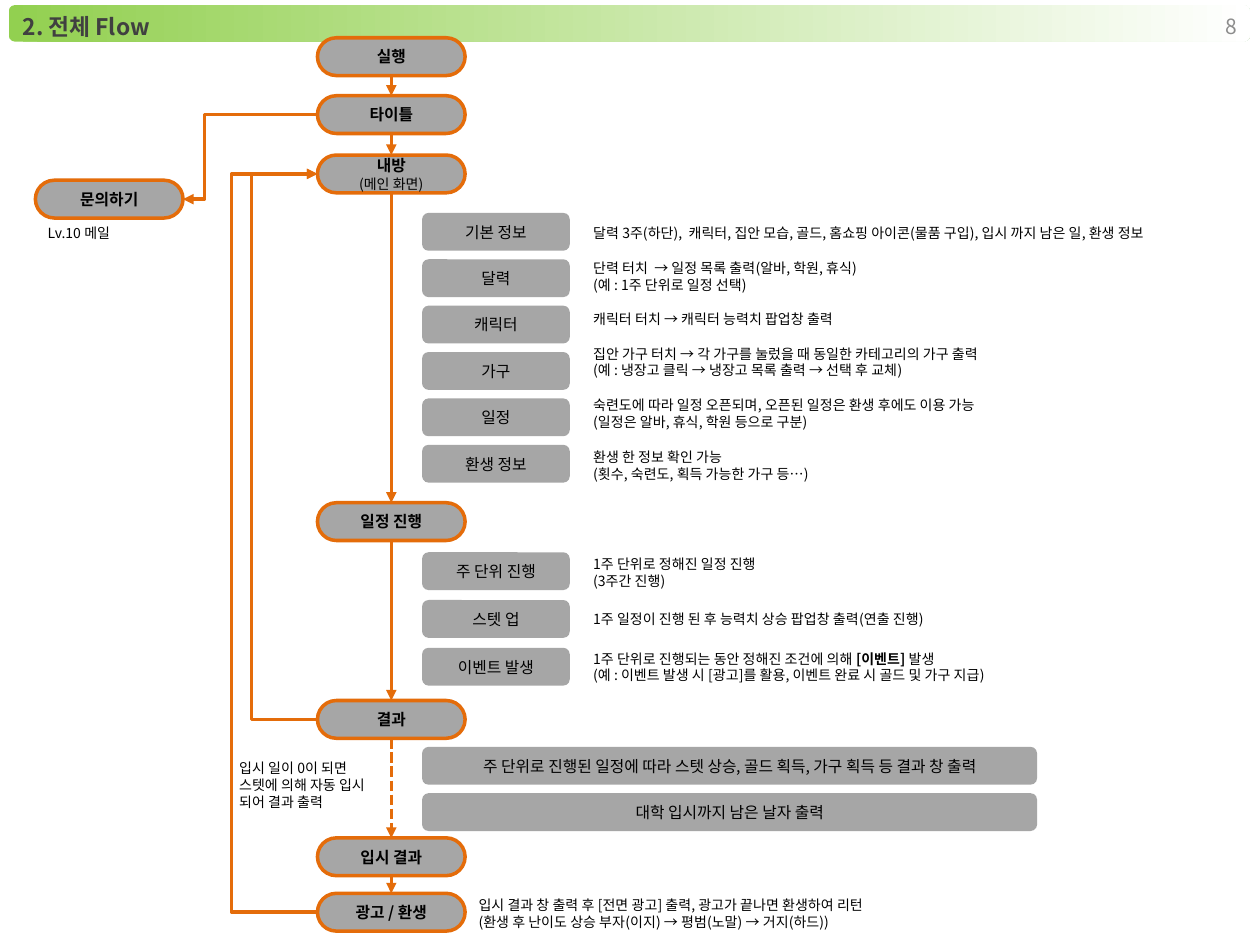
from itertools import pairwise

from lxml import etree
from pptx import Presentation
from pptx.dml.color import RGBColor
from pptx.enum.dml import MSO_LINE
from pptx.enum.shapes import MSO_CONNECTOR, MSO_SHAPE
from pptx.enum.text import MSO_ANCHOR, MSO_AUTO_SIZE, PP_ALIGN
from pptx.oxml.ns import qn
from pptx.util import Pt

ROUNDED = MSO_SHAPE.ROUNDED_RECTANGLE
STRAIGHT, ELBOW = MSO_CONNECTOR.STRAIGHT, MSO_CONNECTOR.ELBOW
LEFT, CENTER, RIGHT = PP_ALIGN.LEFT, PP_ALIGN.CENTER, PP_ALIGN.RIGHT
TOP, MIDDLE = MSO_ANCHOR.TOP, MSO_ANCHOR.MIDDLE
DOTTED = MSO_LINE.SQUARE_DOT

FONT = "Noto Sans CJK KR"
GREEN = RGBColor(0x92, 0xD0, 0x50)
WHITE = RGBColor(0xFF, 0xFF, 0xFF)
BLACK = RGBColor(0x00, 0x00, 0x00)
TITLE_GRAY = RGBColor(0x40, 0x40, 0x40)
NUMBER_GRAY = RGBColor(0x8C, 0x8C, 0x8C)
BOX_GRAY = RGBColor(0xA6, 0xA6, 0xA6)
ORANGE = RGBColor(0xE4, 0x6C, 0x0A)

# Content: a text is a list of paragraphs, a paragraph a list of (text, format) runs
TITLE = "2. 전체 Flow"
PAGE_NUMBER = "8"

# Main flow: top, text
STEPS = [
    (21.6, ["실행"]),
    (54.7, ["타이틀"]),
    (88.6, ["내방", [("(메인 화면)", {"size": 8, "bold": False})]]),
    (287.3, ["일정 진행"]),
    (400.3, ["결과"]),
    (478.8, ["입시 결과"]),
    (510.5, ["광고 / 환생"]),
]
TITLE_STEP, ROOM_STEP, RESULT_STEP, EXAM_STEP, REBIRTH_STEP = 1, 2, 4, 5, 6
CONTACT = ["문의하기"]

# Detail groups: first top, pitch, rows of (label, description top, description)
DETAILS = [
    (121.7, 26.5, [
        ("기본 정보", 124.6, ["달력 3주(하단),  캐릭터, 집안 모습, 골드, 홈쇼핑 아이콘(물품 구입), "
                          "입시 까지 남은 일, 환생 정보"]),
        ("달력", 144.7, ["단력 터치  → 일정 목록 출력(알바, 학원, 휴식)",
                       "(예 : 1주 단위로 일정 선택)"]),
        ("캐릭터", 174.2, ["캐릭터 터치 → 캐릭터 능력치 팝업창 출력"]),
        ("가구", 193.7, ["집안 가구 터치 → 각 가구를 눌렀을 때 동일한 카테고리의 가구 출력",
                       "(예 : 냉장고 클릭 → 냉장고 목록 출력 → 선택 후 교체)"]),
        ("일정", 223.2, ["숙련도에 따라 일정 오픈되며, 오픈된 일정은 환생 후에도 이용 가능",
                       "(일정은 알바, 휴식, 학원 등으로 구분)"]),
        ("환생 정보", 252.7, ["환생 한 정보 확인 가능",
                          "(횟수, 숙련도, 획득 가능한 가구 등…)"]),
    ]),
    (315.6, 27.3, [
        ("주 단위 진행", 313.9, ["1주 단위로 정해진 일정 진행", "(3주간 진행)"]),
        ("스텟 업", 345.6, ["1주 일정이 진행 된 후 능력치 상승 팝업창 출력(연출 진행)"]),
        ("이벤트 발생", 367.9, [
            [("1주 단위로 진행되는 동안 정해진 조건에 의해 ", {}),
             ("[이벤트] ", {"bold": True}), ("발생", {})],
            "(예 : 이벤트 발생 시 [광고]를 활용, 이벤트 완료 시 골드 및 가구 지급)"]),
    ]),
]
RESULT_BARS = ["주 단위로 진행된 일정에 따라 스텟 상승, 골드 획득, 가구 획득 등 결과 창 출력",
               "대학 입시까지 남은 날자 출력"]

# Free notes: left, top, width, text
NOTES = [
    (20.2, 124.6, 90.7, ["Lv.10 메일"]),
    (129.6, 430.6, 102.2, ["입시 일이 0이 되면", "스텟에 의해 자동 입시 되어 결과 출력"]),
    (266.4, 509, 422.6, ["입시 결과 창 출력 후 [전면 광고] 출력, 광고가 끝나면 환생하여 리턴",
                         "(환생 후 난이도 상승 부자(이지) → 평범(노말) → 거지(하드))"]),
]

# Layout
BOX_W, BOX_H = 84.4, 21.6
STEP_X, DETAIL_X, DESCRIPTION_X = 181.4, 241.2, 331.9
DESCRIPTION_W, SLIDE_W = 357.1, 720
CONTACT_X, CONTACT_Y = 20.2, 103
BAR_Y, BAR_PITCH, BAR_W = 426.8, 26.5, 351.4
CONTACT_LANE, RESULT_LANE, REBIRTH_LANE = 116.8, 143.5, 132

prs = Presentation()
prs.slide_width, prs.slide_height = Pt(SLIDE_W), Pt(540)
shapes = prs.slides.add_slide(prs.slide_layouts[6]).shapes


def write(shape, paragraphs, size=8, bold=False, color=BLACK, align=LEFT,
          anchor=TOP, margin=None, spacing=None):
    frame = shape.text_frame
    frame.word_wrap = True
    frame.vertical_anchor = anchor
    if margin is not None:
        frame.margin_left = frame.margin_right = Pt(margin)
        frame.margin_top = frame.margin_bottom = Pt(margin)
    for i, runs in enumerate(paragraphs):
        paragraph = frame.paragraphs[0] if i == 0 else frame.add_paragraph()
        paragraph.alignment = align
        if spacing:
            paragraph.line_spacing = spacing
        for text, style in [(runs, {})] if isinstance(runs, str) else runs:
            run = paragraph.add_run()
            run.text = text
            font = run.font
            font.name, font.size = FONT, Pt(style.get("size", size))
            font.bold = style.get("bold", bold)
            font.color.rgb = color
            east_asian = etree.SubElement(run._r.get_or_add_rPr(), qn("a:ea"))
            east_asian.set("typeface", FONT)


def add_box(x, y, w, h, rounding):
    box = shapes.add_shape(ROUNDED, Pt(x), Pt(y), Pt(w), Pt(h))
    box.adjustments[0] = rounding
    box.shadow.inherit = False
    box.line.fill.background()
    return box


def add_step(x, y, text):
    step = add_box(x, y, BOX_W, BOX_H, 0.5)
    step.fill.solid()
    step.fill.fore_color.rgb = BOX_GRAY
    step.line.color.rgb = ORANGE
    step.line.width = Pt(2)
    write(step, text, size=9, bold=True, align=CENTER, anchor=MIDDLE, margin=0)
    return step


def add_detail(y, w, label):
    detail = add_box(DETAIL_X, y, w, BOX_H, 0.17)
    detail.fill.solid()
    detail.fill.fore_color.rgb = BOX_GRAY
    write(detail, [label], size=9, align=CENTER, anchor=MIDDLE, margin=0)


def add_note(x, y, w, text):
    note = shapes.add_textbox(Pt(x), Pt(y), Pt(w), Pt(7.2 + 9.8 * len(text)))
    write(note, text)
    note.text_frame.auto_size = MSO_AUTO_SIZE.SHAPE_TO_FIT_TEXT


def add_arrow(kind, x1, y1, x2, y2, lane=None):
    arrow = shapes.add_connector(kind, Pt(x1), Pt(y1), Pt(x2), Pt(y2))
    arrow.line.color.rgb = ORANGE
    arrow.line.width = Pt(2)
    etree.SubElement(arrow.line._get_or_add_ln(), qn("a:tailEnd")).set("type", "triangle")
    properties = arrow._element.spPr
    etree.SubElement(properties, qn("a:effectLst"))
    if lane is not None:
        # The bend is placed as a share of the distance from start to end
        guides = properties.find(qn("a:prstGeom")).get_or_add_avLst()
        guide = etree.SubElement(guides, qn("a:gd"))
        guide.set("name", "adj1")
        guide.set("fmla", f"val {round((lane - x1) / (x2 - x1) * 100000)}")
    return arrow


# Title bar and page number
title_bar = add_box(5, 2.9, 709.2, 20.9, 0.17)
title_bar.fill.gradient()
title_bar.fill.gradient_angle = 0
for stop, color in zip(title_bar.fill.gradient_stops, (GREEN, WHITE)):
    stop.color.rgb = color
write(title_bar, [TITLE], size=13, bold=True, color=TITLE_GRAY, anchor=MIDDLE, spacing=1.2)
page_number = shapes.add_textbox(Pt(546.5), Pt(0.7), Pt(167.8), Pt(28.8))
write(page_number, [PAGE_NUMBER], size=12, color=NUMBER_GRAY, align=RIGHT, anchor=MIDDLE)

# Main flow with arrows between neighbouring steps
steps = [add_step(STEP_X, y, text) for y, text in STEPS]
add_step(CONTACT_X, CONTACT_Y, CONTACT)
center_x = STEP_X + BOX_W / 2
for i, (upper, lower) in enumerate(pairwise(steps)):
    arrow = add_arrow(STRAIGHT, center_x, STEPS[i][0] + BOX_H, center_x, STEPS[i + 1][0])
    arrow.begin_connect(upper, 2)
    arrow.end_connect(lower, 0)
    if i + 1 == EXAM_STEP:
        arrow.line.dash_style = DOTTED

# Detail boxes and their descriptions
for first_y, pitch, rows in DETAILS:
    for i, (label, description_y, description) in enumerate(rows):
        add_detail(first_y + i * pitch, BOX_W, label)
        wide = (first_y, i) == (DETAILS[0][0], 0)
        add_note(DESCRIPTION_X, description_y,
                 SLIDE_W - DESCRIPTION_X if wide else DESCRIPTION_W, description)
for i, label in enumerate(RESULT_BARS):
    add_detail(BAR_Y + i * BAR_PITCH, BAR_W, label)
for note in NOTES:
    add_note(*note)

# Side routes: back to the room, and out to the contact page
middles = [y + BOX_H / 2 for y, _ in STEPS]
for step, lane in ((RESULT_STEP, RESULT_LANE), (REBIRTH_STEP, REBIRTH_LANE)):
    add_arrow(ELBOW, STEP_X + 1, middles[step], STEP_X, middles[ROOM_STEP], lane)
add_arrow(ELBOW, STEP_X, middles[TITLE_STEP], CONTACT_X + BOX_W, CONTACT_Y + BOX_H / 2,
          CONTACT_LANE)

prs.save("out.pptx")
